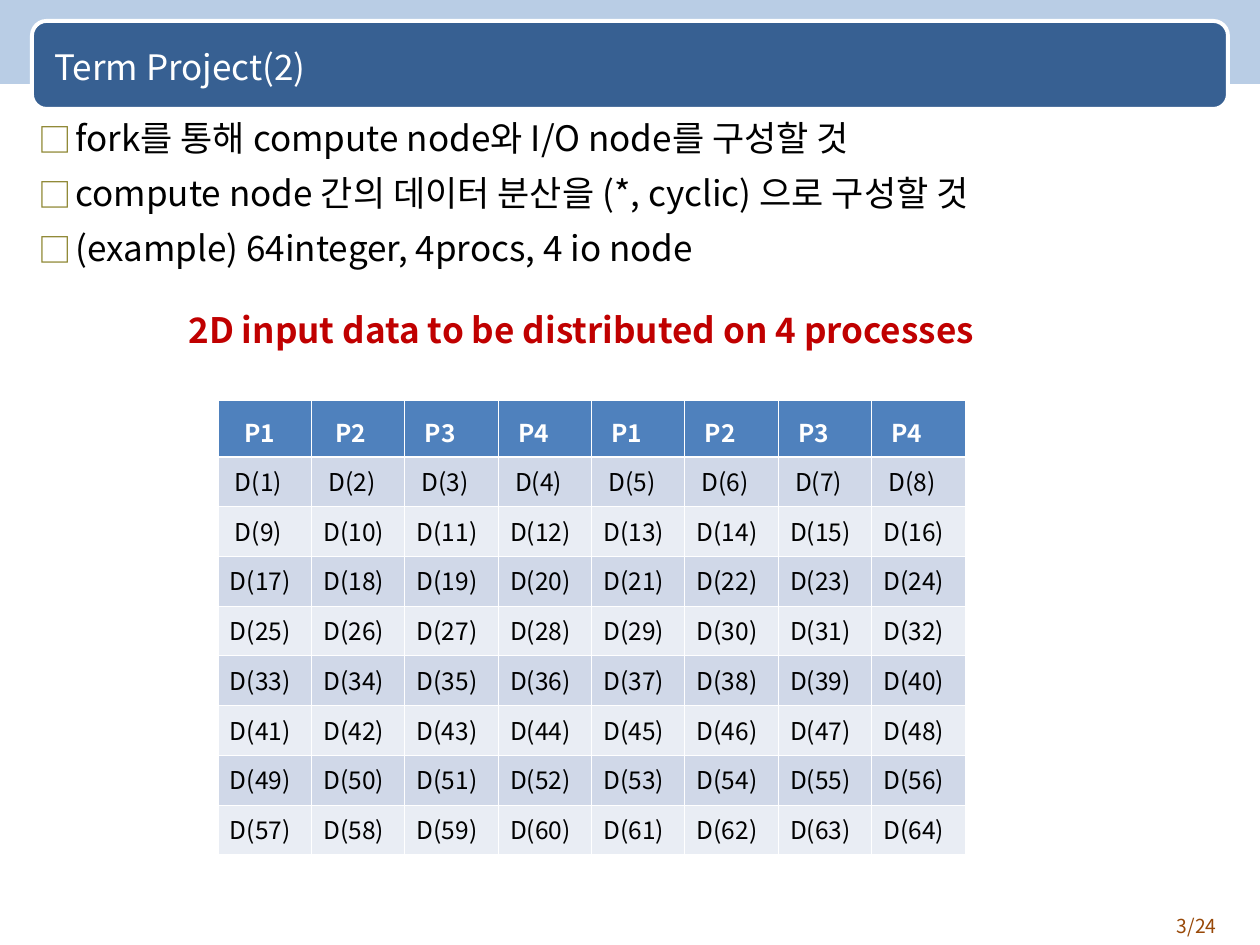
import pptx
import pptx.util
import pptx.oxml
import pptx.oxml.ns
import pptx.dml.color
import pptx.enum.shapes
import pptx.enum.text
from lxml import etree

FONT = "Noto Sans CJK KR"
COLORS = {
    "band": "B9CDE5", "title_bar": "376092", "white": "FFFFFF", "black": "000000",
    "bullet": "888128", "caption": "C00000", "page": "984807",
    "head_row": "4F81BD", "odd_row": "D0D8E8", "even_row": "E9EDF4",
}
REQUIREMENTS = [
    "fork를 통해 compute node와 I/O node를 구성할 것",
    "compute node 간의 데이터 분산을 (*, cyclic) 으로 구성할 것",
    "(example) 64integer, 4procs, 4 io node",
]
PROCESSES = 4
COLUMNS = 8
DATA_ROWS = 8
HEAD_INDENTS = [26, 24] + [20] * 6
SHAPES = pptx.enum.shapes.MSO_SHAPE
ALIGN = pptx.enum.text.PP_ALIGN
ANCHOR = pptx.enum.text.MSO_ANCHOR


def px(length):
    return round(length * 914400 / 126)


def rgb(color):
    return pptx.dml.color.RGBColor.from_string(COLORS[color])


def add_run(paragraph, text, size, color, bold=False):
    run = paragraph.add_run()
    run.text = text
    run.font.size = pptx.util.Pt(size)
    run.font.name = FONT
    run.font.bold = bold
    run.font.color.rgb = rgb(color)
    east_asian = etree.SubElement(run.font._element, pptx.oxml.ns.qn("a:ea"))
    east_asian.set("typeface", FONT)


def add_frame(slide, box, anchor=ANCHOR.TOP, wrap=True):
    frame = slide.shapes.add_textbox(*map(px, box)).text_frame
    frame.word_wrap = wrap
    frame.vertical_anchor = anchor
    return frame


def add_panel(slide, preset, box, fill):
    panel = slide.shapes.add_shape(preset, *map(px, box))
    panel.shadow.inherit = False
    panel.fill.solid()
    panel.fill.fore_color.rgb = rgb(fill)
    panel.line.fill.background()
    return panel


def add_header(slide, box):
    left, top, width, height = box
    add_panel(slide, SHAPES.RECTANGLE, (left, top, width, 84), "band")
    title_bar = add_panel(slide, SHAPES.ROUNDED_RECTANGLE,
                          (left + 33, top + 21, width - 66, height - 21), "title_bar")
    title_bar.line.color.rgb = rgb("white")
    title_bar.line.width = pptx.util.Pt(2.25)
    title = add_frame(slide, (left + 43, top + 24, width - 96, 84), ANCHOR.MIDDLE)
    add_run(title.paragraphs[0], "Term Project(2)", 20, "white")


def add_bullet(paragraph):
    properties = paragraph._p.get_or_add_pPr()
    properties.set("marL", str(px(37)))
    properties.set("indent", str(-px(37)))
    color = etree.SubElement(properties, pptx.oxml.ns.qn("a:buClr"))
    etree.SubElement(color, pptx.oxml.ns.qn("a:srgbClr")).set("val", COLORS["bullet"])
    etree.SubElement(properties, pptx.oxml.ns.qn("a:buSzPct")).set("val", "95000")
    etree.SubElement(properties, pptx.oxml.ns.qn("a:buFont")).set("typeface", FONT)
    etree.SubElement(properties, pptx.oxml.ns.qn("a:buChar")).set("char", "□")


def add_requirements(slide, box):
    frame = add_frame(slide, box)
    for index, requirement in enumerate(REQUIREMENTS):
        paragraph = frame.add_paragraph() if index else frame.paragraphs[0]
        add_bullet(paragraph)
        paragraph.line_spacing = 0.85
        paragraph.space_before = pptx.util.Pt(5 if index else 0)
        paragraph.space_after = pptx.util.Pt(6)
        add_run(paragraph, requirement, 20, "black")


def add_caption(slide, box):
    paragraph = add_frame(slide, box, wrap=False).paragraphs[0]
    paragraph.line_spacing = 0.85
    add_run(paragraph, "2D input data to be distributed on 4 processes", 20, "caption", True)


def set_border(cell, side, width):
    line = etree.SubElement(cell._tc.get_or_add_tcPr(), pptx.oxml.ns.qn("a:" + side))
    line.set("w", str(pptx.util.Pt(width)))
    fill = etree.SubElement(line, pptx.oxml.ns.qn("a:solidFill"))
    etree.SubElement(fill, pptx.oxml.ns.qn("a:srgbClr")).set("val", COLORS["white"])


def fill_cell(cell, text, color, row, fill, indent, top):
    cell.margin_left, cell.margin_right = px(indent), 0
    cell.margin_top, cell.margin_bottom = px(top), px(6)
    for side in ("lnL", "lnR", "lnT", "lnB"):
        under_head = (row, side) in ((0, "lnB"), (1, "lnT"))
        set_border(cell, side, 1.47 if under_head else 0.45)
    cell.fill.solid()
    cell.fill.fore_color.rgb = rgb(fill)
    add_run(cell.text_frame.paragraphs[0], text, 14, color, row == 0)


def add_distribution(slide, box):
    left, top, width, height = box
    head_height = 57
    table = slide.shapes.add_table(DATA_ROWS + 1, COLUMNS, *map(px, box)).table
    for column in table.columns:
        column.width = px(width / COLUMNS)
    for row, table_row in enumerate(table.rows):
        table_row.height = px((height - head_height) / DATA_ROWS if row else head_height)
        for column, cell in enumerate(table_row.cells):
            if row == 0:
                process = f"P{column % PROCESSES + 1}"
                fill_cell(cell, process, "white", row, "head_row", HEAD_INDENTS[column], 14)
            else:
                number = (row - 1) * COLUMNS + column + 1
                fill = "odd_row" if row % 2 else "even_row"
                fill_cell(cell, f"D({number})", "black", row, fill, 17 if number < 10 else 12, 6)


def add_page_number(slide, box):
    paragraph = add_frame(slide, box).paragraphs[0]
    paragraph.alignment = ALIGN.RIGHT
    add_run(paragraph, "3/24", 11, "page")


def main():
    presentation = pptx.Presentation()
    presentation.slide_width, presentation.slide_height = px(1260), px(945)
    slide = presentation.slides.add_slide(presentation.slide_layouts[6])
    add_header(slide, (-1, 0, 1262, 109))
    add_page_number(slide, (1124, 908, 105, 37))
    add_requirements(slide, (26, 117, 1197, 788))
    add_distribution(slide, (218, 400, 747, 455))
    add_caption(slide, (176, 309, 829, 55))
    presentation.save("out.pptx")


if __name__ == "__main__":
    main()
